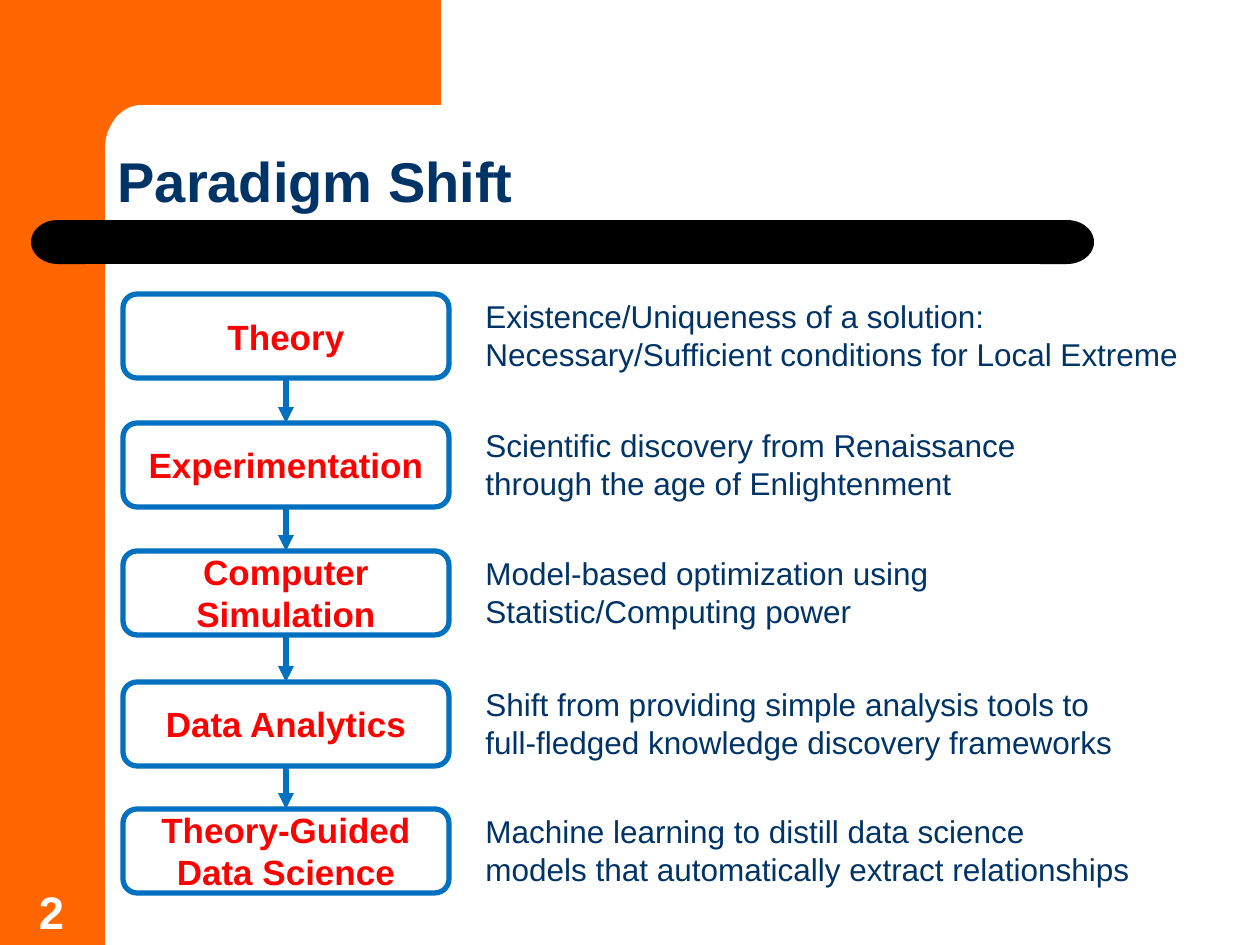
"""Build the Paradigm Shift slide: five linked stages with descriptions."""
from lxml import etree
from pptx import Presentation
from pptx.dml.color import RGBColor
from pptx.enum.shapes import MSO_CONNECTOR, MSO_SHAPE
from pptx.enum.text import MSO_ANCHOR, PP_ALIGN
from pptx.oxml.ns import qn
from pptx.util import Pt

RECTANGLE, ROUNDED = MSO_SHAPE.RECTANGLE, MSO_SHAPE.ROUNDED_RECTANGLE
DELAY, STRAIGHT = MSO_SHAPE.FLOWCHART_DELAY, MSO_CONNECTOR.STRAIGHT
LEFT, CENTER = PP_ALIGN.LEFT, PP_ALIGN.CENTER
TOP, MIDDLE, BOTTOM = MSO_ANCHOR.TOP, MSO_ANCHOR.MIDDLE, MSO_ANCHOR.BOTTOM

COLORS = {"orange": "FF6600", "black": "000000", "white": "FFFFFF",
          "navy": "003366", "blue": "0070C0", "red": "FF0000"}
FONT = "Arial"
EMU_PER_PX = 914400 / 126

TITLE = "Paradigm Shift"
PAGE_NUMBER = "2"
STAGES = [
    ("Theory", 294, 725,
     "Existence/Uniqueness of a solution:\nNecessary/Sufficient conditions for Local Extreme"),
    ("Experimentation", 423, 575,
     "Scientific discovery from Renaissance through the age of Enlightenment"),
    ("Computer Simulation", 551, 495,
     "Model-based optimization using Statistic/Computing power"),
    ("Data Analytics", 682, 654,
     "Shift from providing simple analysis tools to full-fledged knowledge discovery frameworks"),
    ("Theory-Guided Data Science", 809, 673,
     "Machine learning to distill data science models that automatically extract relationships"),
]
STAGE_LEFT, STAGE_WIDTH, STAGE_HEIGHT = 123, 326, 84
NOTE_LEFT, NOTE_HEIGHT, NOTE_RISE = 473, 89, 3
CORNER = [(441, 0), (441, 105), (146, 105), (138, 105), (130, 107), (123, 111),
          (117, 116), (112, 123), (108, 131), (106, 138), (105, 146), (105, 161),
          (63, 161), (63, 0)]
BAR_TOP, BAR_HEIGHT, CAP_WIDTH = 220, 44, 54


def px(*lengths):
    return [round(length * EMU_PER_PX) for length in lengths]


def rgb(name):
    return RGBColor.from_string(COLORS[name])


def paint(shape, fill, line=None):
    shape.shadow.inherit = False
    shape.fill.solid()
    shape.fill.fore_color.rgb = rgb(fill)
    if line:
        shape.line.color.rgb = rgb(line)
        shape.line.width = Pt(3)
    else:
        shape.line.fill.background()
    return shape


def write(shape, text, size, color, bold=False, align=LEFT, anchor=TOP):
    frame = shape.text_frame
    frame.text = text
    frame.word_wrap = True
    frame.vertical_anchor = anchor
    for paragraph in frame.paragraphs:
        paragraph.alignment = align
        for run in paragraph.runs:
            run.font.name = FONT
            run.font.size = Pt(size)
            run.font.bold = bold
            run.font.color.rgb = rgb(color)


def add_arrow(shapes, x, start, end):
    arrow = shapes.add_connector(STRAIGHT, *px(x, start, x, end))
    arrow.line.color.rgb = rgb("blue")
    arrow.line.width = Pt(3)
    etree.SubElement(arrow.line._get_or_add_ln(), qn("a:tailEnd"), type="triangle")
    etree.SubElement(arrow._element.spPr, qn("a:effectLst"))


deck = Presentation()
deck.slide_width, deck.slide_height = px(1260, 945)
slide = deck.slides.add_slide(deck.slide_layouts[5])
shapes = slide.shapes

paint(shapes.add_shape(RECTANGLE, *px(0, 0, 105, 945)), "orange")
outline = shapes.build_freeform(*CORNER[0], scale=EMU_PER_PX)
outline.add_line_segments(CORNER[1:], close=True)
paint(outline.convert_to_shape(), "orange")

paint(shapes.add_shape(RECTANGLE, *px(84, BAR_TOP, 967, BAR_HEIGHT)), "black")
for cap_left, flipped in ((31, True), (1040, False)):
    cap = paint(shapes.add_shape(DELAY, *px(cap_left, BAR_TOP, CAP_WIDTH, BAR_HEIGHT)), "black")
    if flipped:
        cap._element.spPr.xfrm.set("flipH", "1")

title = shapes.title
title.left, title.top, title.width, title.height = px(105, 105, 1092, 116)
write(title, TITLE, 32, "navy", bold=True, anchor=BOTTOM)
title.text_frame.paragraphs[0].line_spacing = 0.9
page = shapes.add_textbox(*px(11, 878, 81, 67))
write(page, PAGE_NUMBER, 26, "white", bold=True, align=CENTER, anchor=BOTTOM)

for name, top, note_width, note in STAGES:
    stage = shapes.add_shape(ROUNDED, *px(STAGE_LEFT, top, STAGE_WIDTH, STAGE_HEIGHT))
    write(paint(stage, "white", "blue"), name, 20, "red", True, CENTER, MIDDLE)
    description = shapes.add_textbox(*px(NOTE_LEFT, top - NOTE_RISE, note_width, NOTE_HEIGHT))
    write(description, note, 18, "navy")

tops = [top for _, top, _, _ in STAGES]
for upper, lower in zip(tops, tops[1:]):
    add_arrow(shapes, STAGE_LEFT + STAGE_WIDTH / 2, upper + STAGE_HEIGHT, lower)

deck.save("out.pptx")
